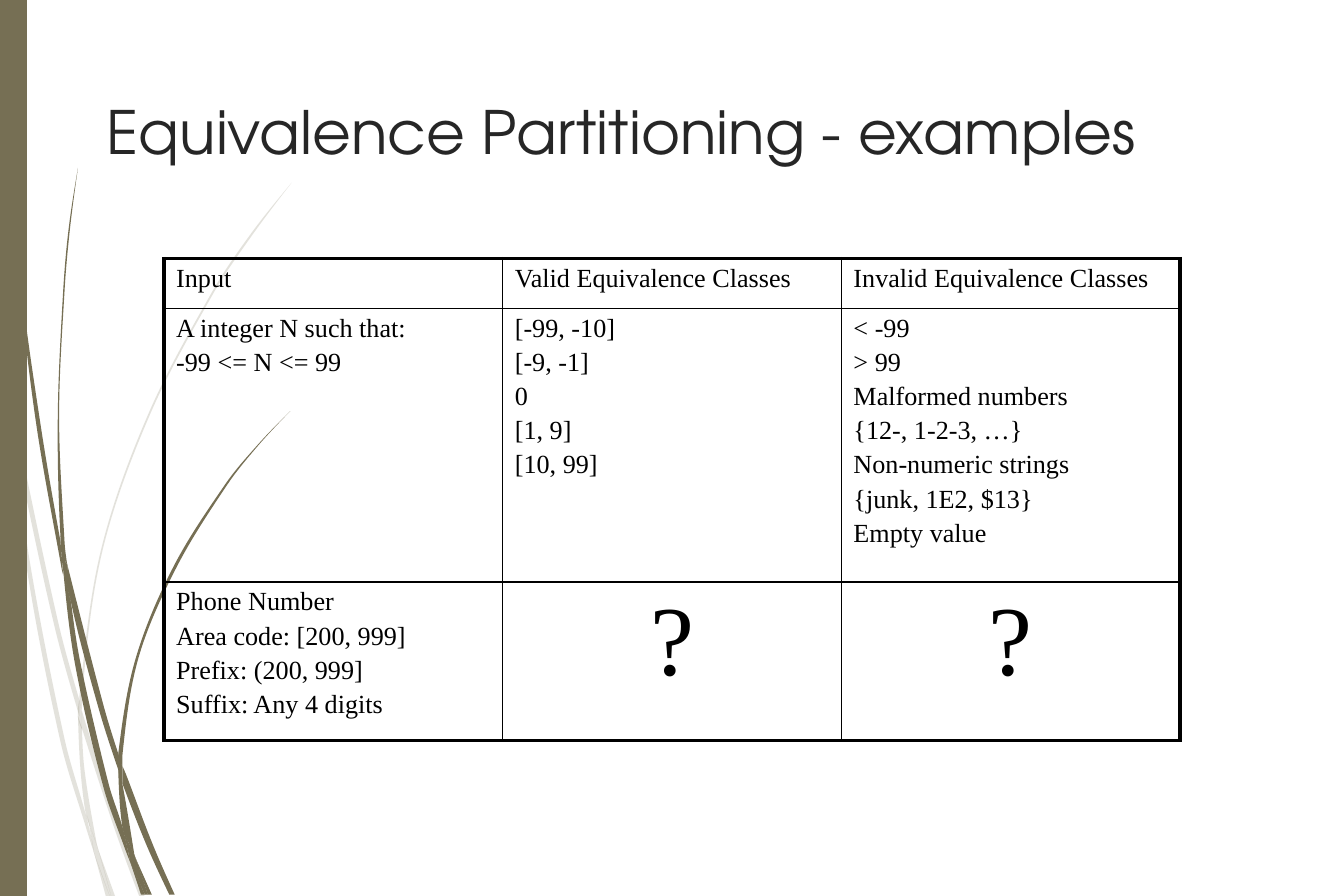
from math import dist

from lxml.etree import SubElement
from pptx import Presentation
from pptx.dml.color import RGBColor
from pptx.enum.shapes import MSO_SHAPE
from pptx.enum.text import MSO_ANCHOR, PP_ALIGN
from pptx.oxml.ns import qn
from pptx.util import Cm, Pt

OLIVE = RGBColor(0x76, 0x6F, 0x54)
INK = RGBColor(0x26, 0x26, 0x26)
BLACK = RGBColor(0, 0, 0)
TITLE_FONT, TABLE_FONT = "TeX Gyre Adventor", "Times New Roman"
INCH = 2.54  # cm

TITLE = "Equivalence Partitioning - examples"
ROWS = [
    (["Input"], ["Valid Equivalence Classes"], ["Invalid Equivalence Classes"]),
    (["A integer N such that:", "-99 <= N <= 99"],
     ["[-99, -10]", "[-9, -1]", "0", "[1, 9]", "[10, 99]"],
     ["< -99", "> 99", "Malformed numbers", "{12-, 1-2-3, …}",
      "Non-numeric strings", "{junk, 1E2, $13}", "Empty value"]),
    (["Phone Number", "Area code: [200, 999]", "Prefix: (200, 999]",
      "Suffix: Any 4 digits"], ["?"], ["?"]),
]
ROW_HEIGHTS = [0.94, 5.17, 3.0]
COLUMN_WIDTH = 6.4

# Each blade of grass is two smooth edges, one down and one back, in inches.
PALE_BLADES = [
    ([(0.08, 3.11), (0.06, 2.86), (0, 2.5)], [(0, 2.66), (0.07, 3.06)]),
    ([(0.1, 3.07), (0.43, 4.62), (0.59, 5.21)],
     [(0.59, 5.33), (0.4, 4.64), (0.12, 3.34)]),
    ([(0.61, 5.29), (0.64, 5.39), (0.88, 6.15), (1.08, 6.68)],
     [(1.04, 6.68), (0.85, 6.16), (0.61, 5.42)]),
    ([(0.73, 6.32), (0.83, 6.68)], [(0.86, 6.68)]),
    ([(0.08, 3.11), (0.19, 4.17), (0.45, 5.52), (0.64, 6.16), (0.7, 6.35)],
     [(0.69, 6.28), (0.64, 6.07), (0.48, 5.5), (0.22, 4.17), (0.12, 3.34)]),
    ([(0.58, 5.33), (0.6, 5.74), (0.64, 6.07), (0.67, 6.15), (0.73, 6.32)],
     [(0.72, 6.28), (0.63, 5.74), (0.61, 5.42)]),
    ([(2.17, 1.36), (1.86, 1.75), (1.58, 2.17), (1.1, 3.09), (0.75, 4.1),
      (0.59, 5.19), (0.61, 5.29)],
     [(0.61, 5.19), (0.76, 4.11), (1.11, 3.1), (1.59, 2.18), (1.87, 1.76),
      (2.17, 1.36)]),
    ([(0.7, 6.35), (0.79, 6.68)], [(0.82, 6.68)]),
    ([(0.59, 5.21), (0.58, 5.33), (0.61, 5.43)], [(0.61, 5.3)]),
    ([(0.65, 6.07), (0.69, 6.29), (0.7, 6.35), (0.82, 6.68)],
     [(0.83, 6.68), (0.73, 6.32), (0.67, 6.15)]),
]
DARK_BLADES = [
    ([(0.02, 0), (0.03, 0.43), (0.05, 0.98), (0.14, 2.07), (0.27, 3.16),
      (0.46, 4.24), (0.47, 4.28)],
     [(0.45, 4.03), (0.3, 3.15), (0.15, 2.06), (0.06, 0.97), (0.04, 0.43),
      (0.03, 0)]),
    ([(0.5, 4.2), (0.53, 4.49), (0.73, 5.26), (0.88, 5.73)],
     [(0.88, 5.61), (0.77, 5.25), (0.5, 4.2)]),
    ([(0.91, 5.7), (0.94, 5.77), (1.13, 6.27), (1.3, 6.66)],
     [(1.26, 6.66), (1.09, 6.29), (0.91, 5.83)]),
    ([(0.47, 4.24), (0.56, 4.95), (0.77, 5.86), (0.92, 6.29), (0.97, 6.42)],
     [(0.96, 6.37), (0.91, 6.15), (0.81, 5.84), (0.6, 4.94), (0.53, 4.49)]),
    ([(0.58, 1.25), (0.51, 1.71), (0.47, 2.17), (0.43, 3.1), (0.45, 3.99),
      (0.49, 4.19)],
     [(0.5, 4.2), (0.48, 4.03), (0.44, 3.1), (0.48, 2.17), (0.52, 1.71),
      (0.58, 1.25)]),
    ([(1.01, 6.39), (1.1, 6.66)], [(1.13, 6.66)]),
    ([(0.45, 3.99), (0.47, 4.24), (0.53, 4.49)], [(0.5, 4.2), (0.49, 4.19)]),
    ([(2.16, 3.06), (1.91, 3.32), (1.68, 3.6), (1.29, 4.22), (1.01, 4.9),
      (0.88, 5.61), (0.91, 5.7)],
     [(0.91, 5.63), (1.03, 4.9), (1.31, 4.23), (1.69, 3.61), (1.91, 3.33),
      (2.16, 3.06)]),
    ([(0.97, 6.42), (1.05, 6.66)], [(1.08, 6.66)]),
    ([(0.88, 5.73), (0.91, 6.15), (0.96, 6.28), (1.01, 6.39)],
     [(1, 6.36), (0.91, 5.83), (0.88, 5.73)]),
    ([(0.88, 5.61), (0.88, 5.73), (0.91, 5.83)], [(0.91, 5.7)]),
    ([(0.91, 6.15), (0.96, 6.37), (0.97, 6.42), (1.08, 6.66)],
     [(1.1, 6.66), (1.01, 6.39), (0.96, 6.28)]),
]


def handle(before, point, after):
    """Return the control point next to point, on the way to after."""
    reach = dist(point, after) / 3 / (dist(before, after) or 1)
    return tuple(p + (a - b) * reach for b, p, a in zip(before, point, after))


def bend(shape, edges):
    """Turn the straight segments inside each edge into Bézier curves."""
    segments = iter(shape._element.findall(f".//{qn('a:lnTo')}"))
    for number, edge in enumerate(edges):
        if number:
            next(segments)  # the straight join between the edges
        for i, (start, end) in enumerate(zip(edge, edge[1:])):
            line = next(segments)
            if len(edge) == 2:
                continue
            first = handle(edge[i - 1], start, end) if i else None
            last = handle(edge[i + 2], end, start) if i + 2 < len(edge) else None
            first = first or tuple((s + c) / 2 for s, c in zip(start, last))
            last = last or tuple((e + c) / 2 for e, c in zip(end, first))
            line.tag = qn("a:cubicBezTo")
            for position, (x, y) in enumerate((first, last)):
                control = SubElement(line, qn("a:pt"), x=str(round(x - shape.left)),
                                     y=str(round(y - shape.top)))
                line.insert(position, control)


def paint(shape, opacity=None):
    shape.shadow.inherit = False
    shape.fill.solid()
    shape.fill.fore_color.rgb = OLIVE
    shape.line.fill.background()
    if opacity:
        color = shape.fill._xPr.find(f".//{qn('a:srgbClr')}")
        SubElement(color, qn("a:alpha"), val=str(opacity * 1000))


def add_grass(slide, blades, opacity=None):
    grass = slide.shapes.add_group_shape()
    for blade in blades:
        edges = [[(Cm(x * INCH), Cm(y * INCH)) for x, y in edge] for edge in blade]
        outline = edges[0] + edges[1]
        builder = grass.shapes.build_freeform(*outline[0])
        builder.add_line_segments(outline[1:], close=True)
        shape = builder.convert_to_shape()
        bend(shape, edges)
        paint(shape, opacity)


def set_borders(cell, widths):
    properties = cell._tc.get_or_add_tcPr()
    for position, (side, width) in enumerate(widths.items()):
        border = SubElement(properties, qn(f"a:ln{side}"), w=str(Pt(width)))
        fill = SubElement(border, qn("a:solidFill"))
        SubElement(fill, qn("a:srgbClr"), val=str(BLACK))
        properties.insert(position, border)


def fill_cell(cell, lines):
    cell.fill.background()
    cell.margin_left = cell.margin_right = Cm(0.23)
    cell.margin_top = cell.margin_bottom = Cm(0.11)
    cell.text = "\n".join(lines)
    unanswered = lines == ["?"]
    for index, paragraph in enumerate(cell.text_frame.paragraphs):
        paragraph.font.name = TABLE_FONT
        paragraph.font.size = Pt(53 if unanswered else 14)
        paragraph.font.color.rgb = BLACK
        paragraph.alignment = PP_ALIGN.CENTER if unanswered else PP_ALIGN.LEFT
        paragraph.space_before = Pt(2.8 if index else 0)


def add_classes_table(slide):
    columns = len(ROWS[0])
    table = slide.shapes.add_table(
        len(ROWS), columns, Cm(3.1), Cm(4.89),
        Cm(COLUMN_WIDTH * columns), Cm(sum(ROW_HEIGHTS))).table
    table.first_row = table.horz_banding = False
    for column in table.columns:
        column.width = Cm(COLUMN_WIDTH)
    for r, (row, height) in enumerate(zip(ROWS, ROW_HEIGHTS)):
        table.rows[r].height = Cm(height)
        for c, lines in enumerate(row):
            fill_cell(table.cell(r, c), lines)
            on_rim = {"L": c == 0, "R": c == columns - 1,
                      "T": r == 0, "B": r == len(ROWS) - 1}
            set_borders(table.cell(r, c),
                        {side: 2.25 if rim else 1 for side, rim in on_rim.items()})


def main():
    deck = Presentation()
    deck.slide_width, deck.slide_height = Cm(25.4), Cm(16.94)
    slide = deck.slides.add_slide(deck.slide_layouts[5])

    add_grass(slide, PALE_BLADES, opacity=20)
    add_grass(slide, DARK_BLADES)
    paint(slide.shapes.add_shape(MSO_SHAPE.RECTANGLE, 0, 0, Cm(0.51), deck.slide_height))

    title = slide.shapes.title
    title.left, title.top, title.width, title.height = Cm(1.75), Cm(1.5), Cm(22.4), Cm(1.78)
    title.text = TITLE
    title.text_frame.vertical_anchor = MSO_ANCHOR.BOTTOM
    heading = title.text_frame.paragraphs[0]
    heading.alignment = PP_ALIGN.LEFT
    heading.font.name, heading.font.size = TITLE_FONT, Pt(32)
    heading.font.color.rgb = INK

    add_classes_table(slide)
    deck.save("out.pptx")


if __name__ == "__main__":
    main()
